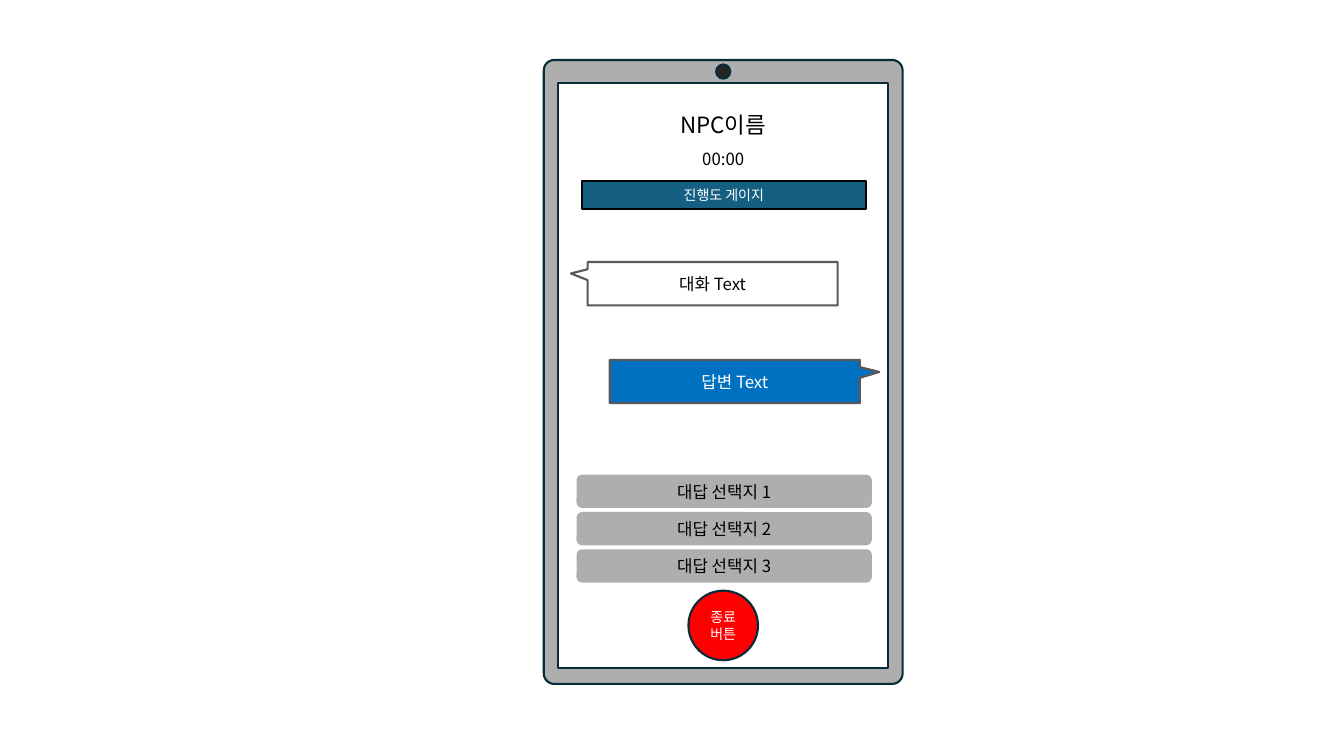
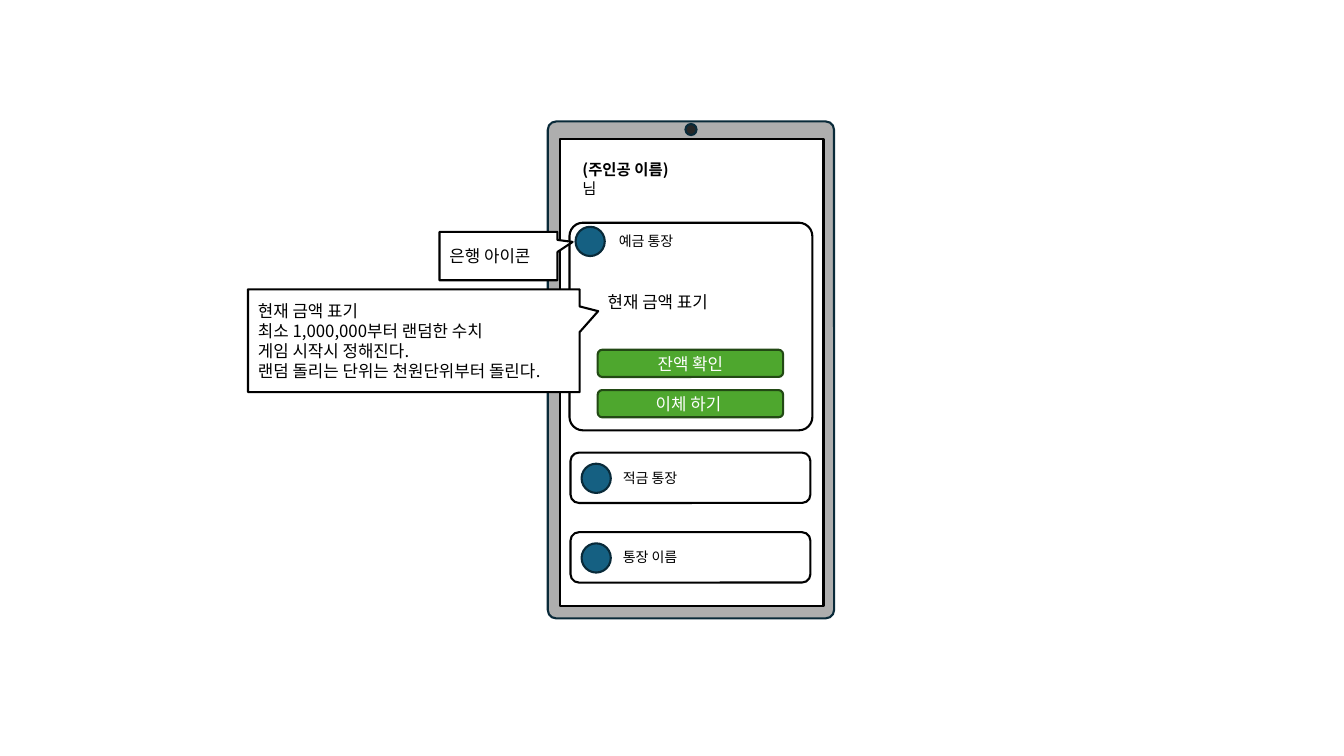
"""Build two phone screen mock-ups: a chat and a bank account list."""
from lxml import etree
from pptx import Presentation
from pptx.dml.color import RGBColor
from pptx.enum.shapes import MSO_SHAPE
from pptx.enum.text import MSO_ANCHOR, PP_ALIGN
from pptx.oxml.ns import qn
from pptx.util import Inches, Pt

RECT = MSO_SHAPE.RECTANGLE
ROUND = MSO_SHAPE.ROUNDED_RECTANGLE
OVAL = MSO_SHAPE.OVAL
BUBBLE = MSO_SHAPE.RECTANGULAR_CALLOUT
LEFT, MID = PP_ALIGN.LEFT, PP_ALIGN.CENTER
TOP, CENTER = MSO_ANCHOR.TOP, MSO_ANCHOR.MIDDLE
FONT = "Noto Sans CJK KR"
HEX = {
    "white": "FFFFFF", "black": "000000", "gray": "AEAEAE", "dark": "262626",
    "edge": "092A39", "slate": "595959", "teal": "156082", "blue": "0070C0",
    "red": "FF0000", "green": "4EA72E", "moss": "224914",
}

deck = Presentation()
deck.slide_width, deck.slide_height = Inches(13.33), Inches(7.5)
COL, ROW = deck.slide_width / 160, deck.slide_height / 90


def draw(page, kind, x, y, w, h, text="", fill=None, line=None, adj=(),
         size=12, ink="black", bold=False, align=MID, anchor=CENTER):
    """Place a shape, or a text box when kind is None, in grid cells."""
    box = [int(v) for v in (x * COL, y * ROW, w * COL, h * ROW)]
    if kind is None:
        item = page.shapes.add_textbox(*box)
    else:
        item = page.shapes.add_shape(kind, *box)
        item.shadow.inherit = False
        item.fill.solid()
        item.fill.fore_color.rgb = RGBColor.from_string(HEX[fill])
        if line:
            item.line.color.rgb = RGBColor.from_string(HEX[line])
            item.line.width = Pt(1.5)
        else:
            item.line.fill.background()
        for i, share in enumerate(adj):
            item.adjustments[i] = share
    if text:
        frame = item.text_frame
        frame.word_wrap = True
        frame.vertical_anchor = anchor
        frame.text = text
        for i, para in enumerate(frame.paragraphs):
            para.alignment = align
            for run in para.runs:
                run.font.size = Pt(size)
                run.font.bold = bold and i == 0
                run.font.color.rgb = RGBColor.from_string(HEX[ink])
                run.font.name = FONT
                face = etree.SubElement(run._r.get_or_add_rPr(), qn("a:ea"))
                face.set("typeface", FONT)
    return item


def phone(body, screen, lens, edge):
    """Add a slide that holds an empty phone."""
    page = deck.slides.add_slide(deck.slide_layouts[6])
    draw(page, ROUND, *body, fill="gray", line="edge", adj=[0.029])
    draw(page, RECT, *screen, fill="white", line=edge)
    draw(page, OVAL, *lens, fill="dark", line="edge")
    return page


chat = phone((64.74, 7.14, 42.72, 74.28), (66.48, 9.84, 39.24, 69.72),
             (85.26, 7.68, 1.68, 1.68), "edge")
draw(chat, None, 75, 12.6, 22.2, 4.44, "NPC이름", size=16)
draw(chat, None, 75, 17.16, 22.2, 3.6, "00:00")
draw(chat, RECT, 69.24, 21.6, 33.84, 3.24, "진행도 게이지",
     fill="teal", line="black", size=10, ink="white")
draw(chat, BUBBLE, 69.96, 31.2, 29.76, 5.16, "대화 Text",
     fill="white", line="slate", adj=[-0.567, -0.236])
draw(chat, BUBBLE, 72.6, 42.84, 29.76, 5.16, "답변 Text",
     fill="blue", line="slate", adj=[0.578, -0.219], ink="white")
for i in range(3):
    draw(chat, ROUND, 68.64, 56.52 + 4.44 * i, 35.16, 3.96,
         f"대답 선택지 {i + 1}", fill="gray")
draw(chat, OVAL, 81.96, 70.32, 8.28, 8.28, "종료\n버튼",
     fill="red", line="edge", size=10, ink="white")

bank = phone((65.22, 14.46, 34.08, 59.16), (66.72, 16.56, 31.32, 55.56),
             (81.6, 14.76, 1.32, 1.32), "black")
draw(bank, None, 68.16, 18.48, 15.48, 3.48, "(주인공 이름)\n님",
     size=11, bold=True, align=LEFT, anchor=TOP)

cards = [
    ("예금 통장", 67.8, 26.52, 28.92, 24.72, 0.065, 0.72, 0.48, 4.68, 0.6),
    ("적금 통장", 67.92, 53.88, 28.56, 6, 0.167, 1.32, 1.32, 5.04, 1.38),
    ("통장 이름", 67.92, 63.36, 28.56, 6, 0.167, 1.32, 1.32, 5.04, 1.38),
]
for name, x, y, w, h, bend, dx, dy, tx, ty in cards:
    draw(bank, ROUND, x, y, w, h, fill="white", line="black", adj=[bend])
    draw(bank, OVAL, x + dx, y + dy, 3.48, 3.48, fill="teal", line="edge")
    draw(bank, None, x + tx, y + ty, 9.72, 3.24, name,
         size=10, align=LEFT, anchor=TOP)

draw(bank, None, 71.16, 34.2, 15.96, 3.6, "현재 금액 표기",
     align=LEFT, anchor=TOP)
for i, name in enumerate(["잔액 확인", "이체 하기 "]):
    draw(bank, ROUND, 71.16, 41.64 + 4.8 * i, 22.08, 3.24, name,
         fill="green", line="moss", ink="white")

notes = [
    ("은행 아이콘", (52.32, 27.6, 14.04, 5.76), (0.629, -0.291)),
    ("현재 금액 표기\n최소 1,000,000부터 랜덤한 수치\n게임 시작시 정해진다.\n"
     "랜덤 돌리는 단위는 천원단위부터 돌린다.",
     (29.52, 34.44, 39.48, 12.24), (0.556, -0.287)),
]
for text, box, tip in notes:
    draw(bank, BUBBLE, *box, text, fill="white", line="black", adj=tip,
         align=LEFT)

deck.save("out.pptx")
